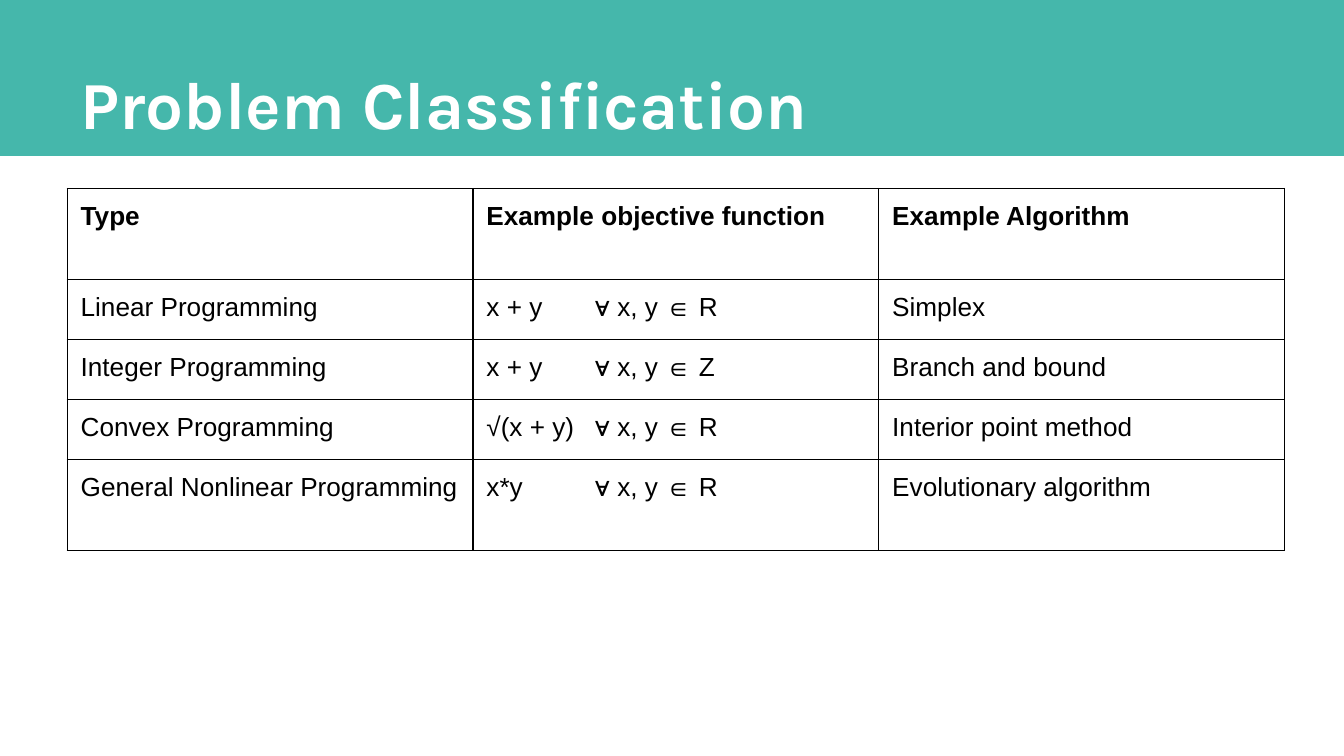
import dataclasses

import lxml.etree
import pptx
import pptx.dml.color
import pptx.enum.shapes
import pptx.enum.text
import pptx.oxml.ns
import pptx.util

Pt = pptx.util.Pt


@dataclasses.dataclass(frozen=True)
class Theme:
    teal: str = "45B7AB"
    white: str = "FFFFFF"
    black: str = "000000"
    title_font: str = "Karla"
    body_font: str = "Arial"
    title_size: float = 36
    body_size: float = 14
    border_width: float = 0.75
    inset: float = 7.2


def apply_format(target, values):
    for name, value in values.items():
        setattr(target, name, value)


def rgb(color):
    return pptx.dml.color.RGBColor.from_string(color)


def add_element(parent, tag, **attributes):
    return lxml.etree.SubElement(parent, pptx.oxml.ns.qn(tag), attributes)


class SlideBuilder:
    def __init__(self, slide, theme):
        self.slide = slide
        self.theme = theme

    def format_font(self, font, name, size, color, bold):
        apply_format(font, {"name": name, "size": Pt(size), "bold": bold})
        font.color.rgb = rgb(color)

    def insets(self):
        sides = ("left", "top", "right", "bottom")
        return {f"margin_{side}": Pt(self.theme.inset) for side in sides}

    def title(self, text, left, top, width, height):
        title = self.slide.shapes.title
        apply_format(title, {"left": Pt(left), "top": Pt(top),
                             "width": Pt(width), "height": Pt(height)})
        frame = title.text_frame
        apply_format(frame, {
            "text": text,
            "word_wrap": True,
            "auto_size": pptx.enum.text.MSO_AUTO_SIZE.NONE,
            "vertical_anchor": pptx.enum.text.MSO_ANCHOR.BOTTOM,
            **self.insets(),
        })
        paragraph = frame.paragraphs[0]
        paragraph.alignment = pptx.enum.text.PP_ALIGN.LEFT
        self.format_font(paragraph.runs[0].font, self.theme.title_font,
                         self.theme.title_size, self.theme.white, True)

    def band(self, left, top, width, height):
        """Add a filled rectangle behind the title."""
        band = self.slide.shapes.add_shape(
            pptx.enum.shapes.MSO_SHAPE.RECTANGLE,
            Pt(left), Pt(top), Pt(width), Pt(height))
        band.shadow.inherit = False
        band.fill.solid()
        band.fill.fore_color.rgb = rgb(self.theme.teal)
        band.line.fill.background()
        self.slide.shapes.title.element.addprevious(band.element)

    def table(self, rows, left, top, column_width, row_heights, tab_stop):
        """Add a bordered table whose first row is bold."""
        column_count = len(rows[0])
        table = self.slide.shapes.add_table(
            len(rows), column_count, Pt(left), Pt(top),
            Pt(column_width * column_count), Pt(sum(row_heights))).table
        apply_format(table, {"first_row": False, "horz_banding": False})
        for column in table.columns:
            column.width = Pt(column_width)
        for row_index, texts in enumerate(rows):
            table.rows[row_index].height = Pt(row_heights[row_index])
            for column_index, text in enumerate(texts):
                self.cell(table.cell(row_index, column_index), text,
                          row_index == 0, tab_stop)

    def cell(self, cell, text, bold, tab_stop):
        apply_format(cell, {"text": text, **self.insets()})
        paragraph = cell.text_frame.paragraphs[0]
        self.format_font(paragraph.runs[0].font, self.theme.body_font,
                         self.theme.body_size, self.theme.black, bold)
        if "\t" in text:
            properties = paragraph._p.get_or_add_pPr()
            stops = add_element(properties, "a:tabLst")
            add_element(stops, "a:tab", pos=str(Pt(tab_stop)), algn="l")
        self.borders(cell)
        cell.fill.background()

    def borders(self, cell):
        properties = cell._tc.get_or_add_tcPr()
        for side in ("a:lnL", "a:lnR", "a:lnT", "a:lnB"):
            line = add_element(properties, side,
                               w=str(Pt(self.theme.border_width)))
            fill = add_element(line, "a:solidFill")
            add_element(fill, "a:srgbClr", val=self.theme.black)


def main():
    presentation = pptx.Presentation()
    apply_format(presentation, {"slide_width": Pt(720),
                                "slide_height": Pt(405)})
    title_only = presentation.slide_layouts.get_by_name("Title Only")
    slide = presentation.slides.add_slide(title_only)
    builder = SlideBuilder(slide, Theme())

    builder.band(0, -0.5, 720, 84)
    builder.title("Problem Classification", 36, 16.5, 648, 67.5)

    tall, short = 48.75, 32.15
    builder.table(
        [
            ("Type", "Example objective function", "Example Algorithm"),
            ("Linear Programming", "x + y\t∀ x, y ∈ R", "Simplex"),
            ("Integer Programming", "x + y\t∀ x, y ∈ Z", "Branch and bound"),
            ("Convex Programming", "√(x + y)\t∀ x, y ∈ R",
             "Interior point method"),
            ("General Nonlinear Programming", "x*y\t∀ x, y ∈ R",
             "Evolutionary algorithm"),
        ],
        left=36, top=101, column_width=217.4,
        row_heights=[tall, short, short, short, tall], tab_stop=58)

    presentation.save("out.pptx")


if __name__ == "__main__":
    main()
